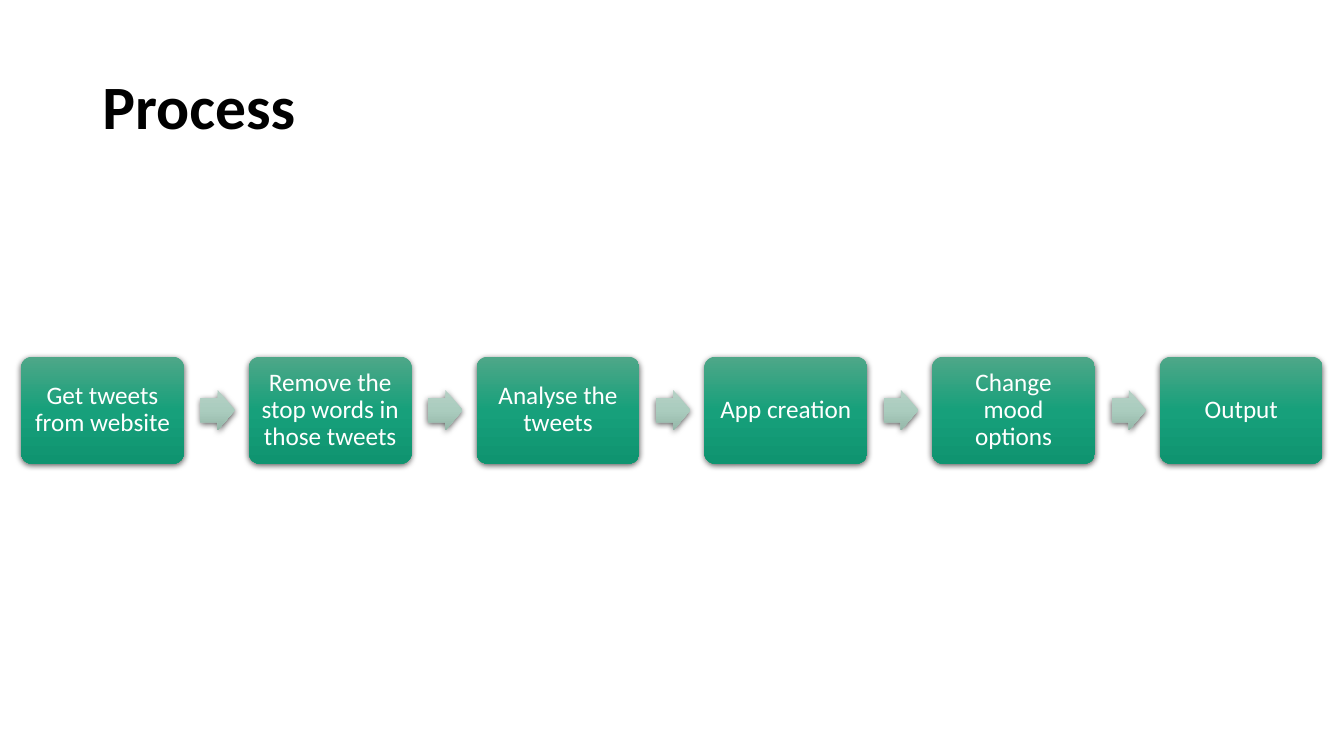
from copy import deepcopy

from pptx import Presentation
from pptx.dml.color import RGBColor
from pptx.enum import shapes, text
from pptx.oxml import parse_xml
from pptx.oxml import ns
from pptx.util import Pt

BLACK = RGBColor(0x00, 0x00, 0x00)
WHITE = RGBColor(0xFF, 0xFF, 0xFF)
GREEN = (RGBColor(0x4E, 0xA7, 0x88), RGBColor(0x17, 0xA0, 0x7B), RGBColor(0x0F, 0x94, 0x70))
PALE = (RGBColor(0xB6, 0xD1, 0xC6), RGBColor(0xAA, 0xCC, 0xBE), RGBColor(0x95, 0xB7, 0xA9))
SHADE = (
    f'<a:outerShdw {ns.nsdecls("a")} blurRad="{Pt(4.5)}" dist="{Pt(1.5)}" dir="5400000" '
    'algn="ctr" rotWithShape="0"><a:srgbClr val="000000"><a:alpha val="63000"/>'
    '</a:srgbClr></a:outerShdw>'
)
STEPS = (
    "Get tweets from website",
    "Remove the stop words in those tweets",
    "Analyse the tweets",
    "App creation",
    "Change mood options",
    "Output",
)
LEFT, PITCH, MID = 15.1, 162.7, 293
BOX_W, BOX_H = 116.2, 76.3
ARROW_W, ARROW_H, ARROW_DX = 24.6, 28.8, 128.1


class Deck:
    font = "Calibri"

    def __init__(self, slide):
        self.slide = slide

    def label(self, frame, words, size, color, bold=False, align=text.PP_ALIGN.LEFT):
        frame.word_wrap = True
        frame.vertical_anchor = text.MSO_ANCHOR.MIDDLE
        para = frame.paragraphs[0]
        para.text = words
        para.alignment = align
        para.line_spacing = 0.9
        font = para.font
        font.name, font.size, font.bold = self.font, Pt(size), bold
        font.color.rgb = color

    def title(self, words, x, y, w, h):
        box = self.slide.shapes.add_textbox(Pt(x), Pt(y), Pt(w), Pt(h))
        self.label(box.text_frame, words, 44, BLACK, bold=True)

    def shape(self, kind, x, w, h, colors, adjust):
        item = self.slide.shapes.add_shape(kind, Pt(x), Pt(MID - h / 2), Pt(w), Pt(h))
        for i, value in enumerate(adjust):
            item.adjustments[i] = value
        item.fill.gradient()
        item.fill.gradient_angle = 270
        props = item._element.spPr
        stops = props.find(".//" + ns.qn("a:gsLst"))
        stops.insert(1, deepcopy(stops[0]))
        for i, (stop, color) in enumerate(zip(item.fill.gradient_stops, colors)):
            stop.position = i / 2
            stop.color.rgb = color
        item.line.fill.background()
        item.shadow.inherit = False
        props.find(ns.qn("a:effectLst")).append(parse_xml(SHADE))
        return item

    def step(self, words, x):
        box = self.shape(shapes.MSO_SHAPE.ROUNDED_RECTANGLE, x, BOX_W, BOX_H, GREEN, (0.1,))
        frame = box.text_frame
        frame.margin_left = frame.margin_right = Pt(5.4)
        frame.margin_top = frame.margin_bottom = Pt(5.4)
        self.label(frame, words, 18, WHITE, align=text.PP_ALIGN.CENTER)

    def arrow(self, x):
        self.shape(shapes.MSO_SHAPE.RIGHT_ARROW, x, ARROW_W, ARROW_H, PALE, (0.6, 0.5))


def main():
    pres = Presentation()
    pres.slide_width, pres.slide_height = Pt(960), Pt(540)
    deck = Deck(pres.slides.add_slide(pres.slide_layouts[6]))
    deck.title("Process", 66, 26, 828, 104.4)
    for i, words in enumerate(STEPS):
        x = LEFT + i * PITCH
        deck.step(words, x)
        if i < len(STEPS) - 1:
            deck.arrow(x + ARROW_DX)
    pres.save("out.pptx")


if __name__ == "__main__":
    main()
